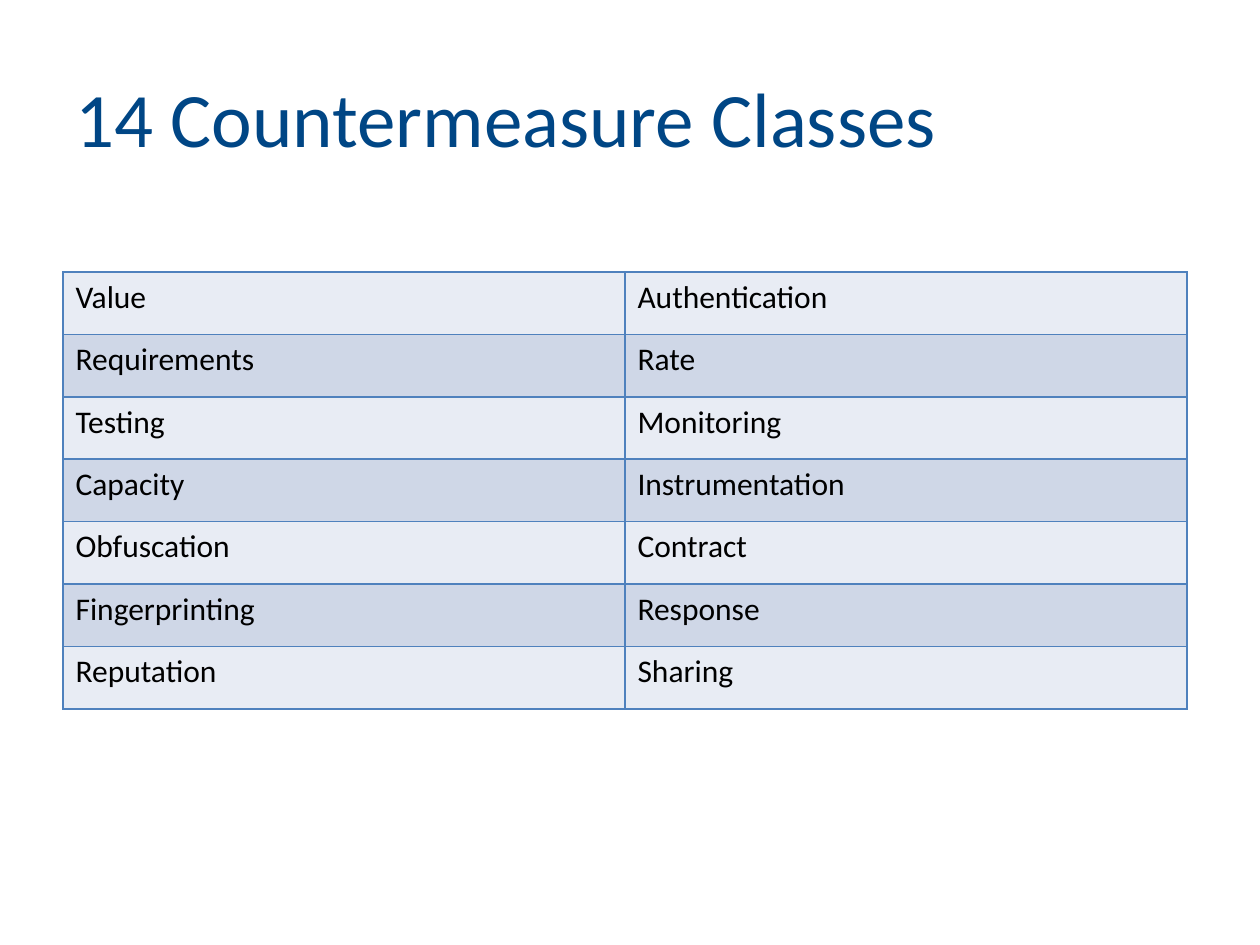
from lxml.etree import SubElement
from pptx import Presentation
from pptx.dml.color import RGBColor
from pptx.enum.text import MSO_ANCHOR as Anchor, PP_ALIGN as Align
from pptx.oxml.ns import qn
from pptx.util import Pt

PX = 914400 // 126
FONT = "Calibri"
NAVY = RGBColor(0x00, 0x46, 0x85)
BLACK = RGBColor(0x00, 0x00, 0x00)
BLUE = RGBColor(0x4F, 0x81, 0xBD)
PALE = RGBColor(0xE8, 0xEC, 0xF4)
GREY = RGBColor(0xCF, 0xD7, 0xE7)

PAIRS = [
    ("Value", "Authentication"),
    ("Requirements", "Rate"),
    ("Testing", "Monitoring"),
    ("Capacity", "Instrumentation"),
    ("Obfuscation", "Contract"),
    ("Fingerprinting", "Response"),
    ("Reputation", "Sharing"),
]


def px(*sizes):
    return [size * PX for size in sizes]


def write(frame, text, size=18, color=BLACK, anchor=Anchor.TOP):
    frame.word_wrap = True
    frame.vertical_anchor = anchor
    para = frame.paragraphs[0]
    para.alignment = Align.LEFT
    run = para.add_run()
    run.text = text
    run.font.name = FONT
    run.font.size = Pt(size)
    run.font.color.rgb = color


def add_title(slide, text):
    title = slide.shapes.title
    title.left, title.top, title.width, title.height = px(63, 38, 1134, 157)
    write(title.text_frame, text, size=44, color=NAVY, anchor=Anchor.MIDDLE)


def add_edges(cell):
    props = cell._tc.get_or_add_tcPr()
    for side in ("lnL", "lnR", "lnT", "lnB"):
        line = SubElement(props, qn(f"a:{side}"), w=str(Pt(1)))
        fill = SubElement(line, qn("a:solidFill"))
        SubElement(fill, qn("a:srgbClr"), val=str(BLUE))


def add_cell(cell, text, color):
    write(cell.text_frame, text)
    add_edges(cell)
    cell.fill.solid()
    cell.fill.fore_color.rgb = color


def add_grid(slide, rows):
    box = px(63, 272, 1124, 437)
    grid = slide.shapes.add_table(len(rows), len(rows[0]), *box).table
    grid.first_row = False
    for r, row in enumerate(rows):
        for c, text in enumerate(row):
            add_cell(grid.cell(r, c), text, GREY if r % 2 else PALE)


def main():
    deck = Presentation()
    deck.slide_width, deck.slide_height = px(1260, 945)
    slide = deck.slides.add_slide(deck.slide_layouts[5])
    add_title(slide, "14 Countermeasure Classes")
    add_grid(slide, PAIRS)
    deck.save("out.pptx")


if __name__ == "__main__":
    main()
